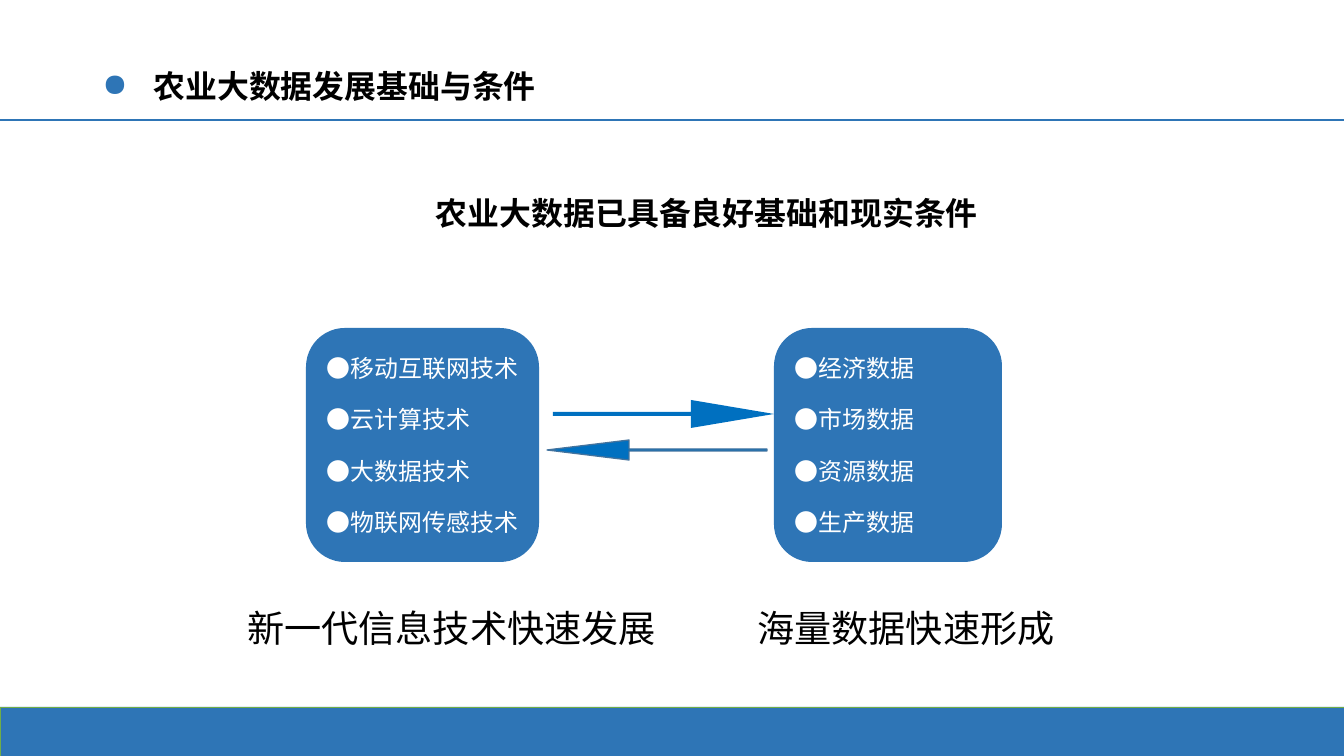
from lxml.etree import SubElement
from pptx import Presentation
from pptx.dml.color import RGBColor
from pptx.enum.shapes import MSO_CONNECTOR, MSO_SHAPE
from pptx.enum.text import MSO_ANCHOR, PP_ALIGN
from pptx.oxml.ns import qn
from pptx.util import Emu, Pt

SCALE = 9565
BLUE = "2E75B6"
ARROW_BLUE = "0070C0"
BLACK = "000000"
WHITE = "FFFFFF"
FONT = "Noto Sans CJK SC"


def px(length):
    return Emu(length * SCALE)


def color(value):
    return RGBColor.from_string(value)


class SlideBuilder:
    def __init__(self, presentation):
        self.slide = presentation.slides.add_slide(presentation.slide_layouts[6])

    def paint(self, shape, fill, line=None, width=1):
        shape.shadow.inherit = False
        shape.fill.solid()
        shape.fill.fore_color.rgb = color(fill)
        if line:
            shape.line.color.rgb = color(line)
            shape.line.width = Pt(width)
        else:
            shape.line.fill.background()

    def add_lines(self, frame, lines, size, text_color, bold=False, gap=0, bullet=None):
        for index, line in enumerate(lines):
            paragraph = frame.add_paragraph() if index else frame.paragraphs[0]
            paragraph.text = line
            paragraph.alignment = PP_ALIGN.LEFT
            if index:
                paragraph.space_before = Pt(gap)
            if bullet:
                self.add_bullet(paragraph, bullet)
            font = paragraph.font
            font.size = Pt(size)
            font.bold = bold
            font.color.rgb = color(text_color)
            font.name = FONT
            defaults = paragraph._p.pPr.find(qn("a:defRPr"))
            SubElement(defaults, qn("a:ea")).set("typeface", FONT)

    def add_bullet(self, paragraph, bullet):
        properties = paragraph._p.get_or_add_pPr()
        properties.set("marL", str(px(51)))
        properties.set("indent", str(-px(51)))
        bullet_color = SubElement(properties, qn("a:buClr"))
        SubElement(bullet_color, qn("a:srgbClr")).set("val", BLUE)
        SubElement(properties, qn("a:buChar")).set("char", bullet)

    def text(self, left, top, width, height, line, size, bold=False, bullet=None):
        box = self.slide.shapes.add_textbox(px(left), px(top), px(width), px(height))
        frame = box.text_frame
        frame.word_wrap = True
        frame.vertical_anchor = MSO_ANCHOR.MIDDLE
        self.add_lines(frame, [line], size, BLACK, bold, bullet=bullet)
        return frame

    def bar(self, left, top, width, height):
        shape = self.slide.shapes.add_shape(
            MSO_SHAPE.RECTANGLE, px(left), px(top), px(width), px(height))
        self.paint(shape, BLUE, "70AD47", 0.5)

    def rule(self, left, right, top):
        line = self.slide.shapes.add_connector(
            MSO_CONNECTOR.STRAIGHT, px(left), px(top), px(right), px(top))
        line.line.color.rgb = color(BLUE)
        line.line.width = Pt(1)
        SubElement(line._element.spPr, qn("a:effectLst"))

    def card(self, left, top, width, height, lines):
        shape = self.slide.shapes.add_shape(
            MSO_SHAPE.ROUNDED_RECTANGLE, px(left), px(top), px(width), px(height))
        self.paint(shape, BLUE)
        frame = shape.text_frame
        frame.word_wrap = True
        frame.margin_right = 0
        frame.vertical_anchor = MSO_ANCHOR.MIDDLE
        self.add_lines(frame, lines, 18, WHITE, gap=17.2)

    def arrow(self, tail, neck, tip, middle, half_head, half_shaft, line=None):
        points = [(neck, middle - half_head), (tip, middle),
                  (neck, middle + half_head), (neck, middle + half_shaft),
                  (tail, middle + half_shaft), (tail, middle - half_shaft),
                  (neck, middle - half_shaft)]
        builder = self.slide.shapes.build_freeform(*points[0], scale=SCALE)
        builder.add_line_segments(points[1:], close=True)
        self.paint(builder.convert_to_shape(), ARROW_BLUE, line)


def main():
    presentation = Presentation()
    presentation.slide_width = px(1344)
    presentation.slide_height = px(756)
    page = SlideBuilder(presentation)

    page.bar(0, 707, 1344, 49)
    page.rule(0, 1344, 120)
    title = page.text(93, 40, 1160, 97, "农业大数据发展基础与条件", 24, True, "●")
    title.paragraphs[0].line_spacing = 0.9
    heading = page.text(429, 190, 733, 46, "农业大数据已具备良好基础和现实条件", 24, True)
    heading.margin_left = heading.margin_right = px(7)

    page.card(306, 328, 233, 234,
              ["●移动互联网技术", "●云计算技术", "●大数据技术", "●物联网传感技术"])
    page.card(774, 328, 228, 234,
              ["●经济数据", "●市场数据", "●资源数据", "●生产数据"])
    page.arrow(553, 691, 774, 414, 14, 2)
    page.arrow(767, 629, 547, 450, 10, 1, "43739E")

    page.text(238, 600, 428, 55, "新一代信息技术快速发展", 28)
    page.text(748, 600, 317, 55, "海量数据快速形成", 28)
    presentation.save("out.pptx")


if __name__ == "__main__":
    main()
